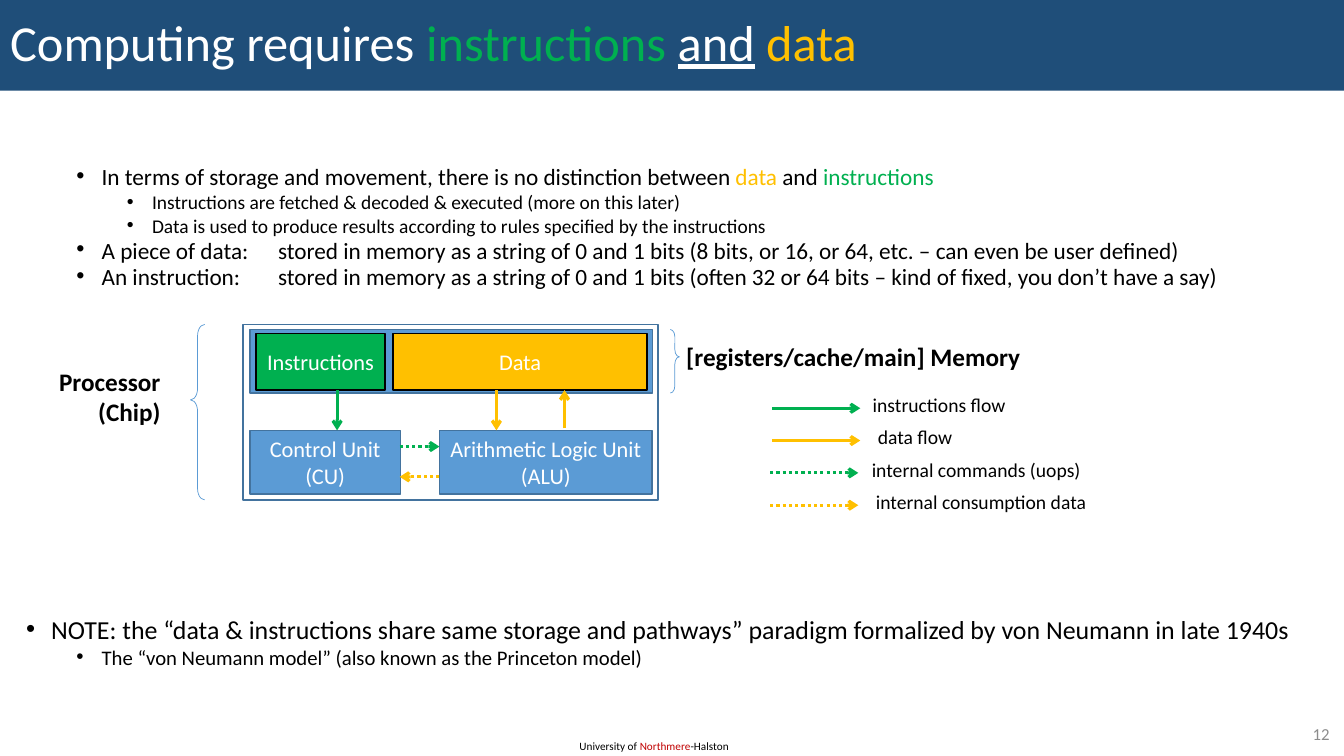
import pptx
import pptx.util
import pptx.dml.color
import pptx.enum.dml
import pptx.enum.shapes
import pptx.enum.text
import pptx.oxml.ns
from lxml import etree

Pt = pptx.util.Pt
SHAPE = pptx.enum.shapes.MSO_SHAPE
ALIGN = pptx.enum.text.PP_ALIGN
MIDDLE = pptx.enum.text.MSO_ANCHOR.MIDDLE

COLORS = {
    "navy": "1F4E79", "blue": "5B9BD5", "edge": "43739E", "green": "00B050",
    "gold": "FFC000", "red": "C00000", "gray": "8C8C8C", "white": "FFFFFF",
    "black": "000000",
}

# Rich text is a list of spans: (text, color, underlined)
TITLE = [("Computing requires", "white", False), (" instructions ", "green", False),
         ("and", "white", True), (" ", "white", False), ("data", "gold", False)]
FOOTER = [("University of ", "black", False), ("Northmere", "red", False),
          ("-Halston", "black", False)]

# Bullets: level, size, text
STORAGE_BULLETS = [
    (1, 16.6, [("In terms of storage and movement, there is no distinction between ", "black", False),
               ("data", "gold", False), (" and ", "black", False),
               ("instructions", "green", False)]),
    (2, 13.9, "Instructions are fetched & decoded & executed (more on this later)"),
    (2, 13.9, "Data is used to produce results according to rules specified by the instructions"),
    (1, 16.6, "A piece of data:\tstored in memory as a string of 0 and 1 bits "
              "(8 bits, or 16, or 64, etc. – can even be user defined)"),
    (1, 16.6, "An instruction:\tstored in memory as a string of 0 and 1 bits "
              "(often 32 or 64 bits – kind of fixed, you don’t have a say)"),
]
NOTE_BULLETS = [
    (0, 18.5, "NOTE: the “data & instructions share same storage and pathways” "
              "paradigm formalized by von Neumann in late 1940s"),
    (1, 14.8, "The “von Neumann model” (also known as the Princeton model)"),
]
# Left, top, width, height, fill, line, lines of text
BLOCKS = [
    (178.6, 235.4, 287.3, 45.4, "blue", "edge", []),
    (178.6, 307.4, 107.3, 45.4, "blue", "edge", ["Control Unit", "(CU)"]),
    (313.9, 307.4, 152, 45.4, "blue", "edge", ["Arithmetic Logic Unit", "(ALU)"]),
    (173.5, 231.8, 296.6, 125.3, None, "edge", []),
    (182.9, 238.3, 92.2, 40.3, "green", "black", ["Instructions"]),
    (280.8, 238.3, 181.4, 40.3, "gold", "black", ["Data"]),
]
# Start x, start y, end x, end y, color, dotted
FLOWS = [
    (240.8, 278.6, 240.8, 307.4, "green", False),
    (354.6, 278.6, 354.6, 307.4, "gold", False),
    (403.2, 306, 403.2, 278.6, "gold", False),
    (285.5, 319, 313.9, 319, "green", True),
    (313.9, 340.6, 285.5, 340.6, "gold", True),
]
# Label, label left, label width, color, dotted
LEGEND = [
    ("instructions flow", 616.3, 110.2, "green", False),
    ("data flow", 619.9, 68.4, "gold", False),
    ("internal commands (uops)", 615.6, 164.9, "green", True),
    ("internal consumption data", 618.5, 166.3, "gold", True),
]
LEGEND_TOP, LEGEND_STEP, ARROW_LENGTH = 291.6, 23.1, 63
# Preset, left, top, width, height
BRACES = [
    (SHAPE.RIGHT_BRACE, 478.8, 235.4, 6.5, 45.4),
    (SHAPE.LEFT_BRACE, 136.1, 231.8, 10.1, 125.3),
]


def rgb(name):
    return pptx.dml.color.RGBColor.from_string(COLORS[name])


def write(para, text, size, color="black", bold=False, align=ALIGN.LEFT):
    """Fill a paragraph with plain text or with a list of spans."""
    para.alignment = align
    spans = [(text, color, False)] if isinstance(text, str) else text
    for words, tint, underlined in spans:
        span = para.add_run()
        span.text = words
        span.font.name = "Calibri"
        span.font.size = Pt(size)
        span.font.bold = bold
        span.font.underline = underlined
        span.font.color.rgb = rgb(tint)


def paragraphs(frame, count):
    return [frame.paragraphs[0]] + [frame.add_paragraph() for _ in range(count - 1)]


def add_text(page, place, lines, wrap=False, **style):
    frame = page.shapes.add_textbox(*map(Pt, place)).text_frame
    frame.word_wrap = wrap
    for para, line in zip(paragraphs(frame, len(lines)), lines):
        write(para, line, **style)
    return frame


def add_bullets(page, place, bullets):
    frame = page.shapes.add_textbox(*map(Pt, place)).text_frame
    frame.word_wrap = True
    for para, (level, size, text) in zip(paragraphs(frame, len(bullets)), bullets):
        write(para, text, size)
        para.level = level
        para.line_spacing = 0.7
        para.space_before = Pt(5 if level else 10)
        properties = para._p.get_or_add_pPr()
        properties.set("marL", str(Pt(18 + 36 * level)))
        properties.set("indent", str(Pt(-18)))
        qn = pptx.oxml.ns.qn
        etree.SubElement(properties, qn("a:buFont")).set("typeface", "Arial")
        etree.SubElement(properties, qn("a:buChar")).set("char", "•")
        if "\t" in text:
            stops = etree.SubElement(properties, qn("a:tabLst"))
            stop = etree.SubElement(stops, qn("a:tab"))
            stop.set("pos", str(Pt(180)))
            stop.set("algn", "l")


def add_shape(page, preset, place, fill, line, width):
    box = page.shapes.add_shape(preset, *map(Pt, place))
    box.shadow.inherit = False
    if fill:
        box.fill.solid()
        box.fill.fore_color.rgb = rgb(fill)
    else:
        box.fill.background()
    box.line.color.rgb = rgb(line)
    box.line.width = Pt(width)
    return box


def add_arrow(page, place, color, dotted):
    arrow = page.shapes.add_connector(pptx.enum.shapes.MSO_CONNECTOR.STRAIGHT, *map(Pt, place))
    arrow.line.color.rgb = rgb(color)
    arrow.line.width = Pt(2.25)
    if dotted:
        arrow.line.dash_style = pptx.enum.dml.MSO_LINE.ROUND_DOT
    qn = pptx.oxml.ns.qn
    etree.SubElement(arrow.line._get_or_add_ln(), qn("a:tailEnd")).set("type", "arrow")
    etree.SubElement(arrow._element.spPr, qn("a:effectLst"))


def add_title(page):
    title = page.shapes.title
    title.left, title.top, title.width, title.height = map(Pt, (0, 0, 960, 64.8))
    title.fill.solid()
    title.fill.fore_color.rgb = rgb("navy")
    title.text_frame.vertical_anchor = MIDDLE
    title.text_frame.auto_size = pptx.enum.text.MSO_AUTO_SIZE.NONE
    para = title.text_frame.paragraphs[0]
    para.line_spacing = 0.9
    write(para, TITLE, 36)


def add_diagram(page):
    for *place, fill, line, lines in BLOCKS:
        box = add_shape(page, SHAPE.RECTANGLE, place, fill, line, 1)
        box.text_frame.vertical_anchor = MIDDLE
        if lines:
            for para, text in zip(paragraphs(box.text_frame, len(lines)), lines):
                write(para, text, 16, color="white", align=ALIGN.CENTER)
    for *place, color, dotted in FLOWS:
        add_arrow(page, place, color, dotted)
    for preset, *place in BRACES:
        brace = add_shape(page, preset, place, None, "blue", 0.5)
        brace.adjustments[0], brace.adjustments[1] = 0.8, 0.43
    add_text(page, (483.1, 240.5, 254.9, 28.8), ["[registers/cache/main] Memory"],
             size=18, bold=True)
    add_text(page, (34.6, 257.8, 87.1, 51.1), ["Processor", "(Chip)"],
             size=18, bold=True, align=ALIGN.RIGHT)


def add_legend(page):
    for row, (label, left, width, color, dotted) in enumerate(LEGEND):
        y = LEGEND_TOP + row * LEGEND_STEP
        x = 550.1 if dotted else 551.5
        add_arrow(page, (x, y, x + ARROW_LENGTH, y), color, dotted)
        add_text(page, (left, y - 14.4, width, 24.5), [label], size=14)


def main():
    deck = pptx.Presentation()
    deck.slide_width, deck.slide_height = Pt(960), Pt(540)
    page = deck.slides.add_slide(deck.slide_layouts[5])
    add_title(page)
    add_bullets(page, (11.5, 118.1, 941.8, 100), STORAGE_BULLETS)
    add_diagram(page)
    add_legend(page)
    add_bullets(page, (11.5, 441, 941.8, 50), NOTE_BULLETS)
    add_text(page, (406.8, 524.2, 123.8, 17.3), [FOOTER], size=8)
    number = add_text(page, (902.2, 513.4, 54.7, 20.9), ["12"], wrap=True,
                      size=12, color="gray", align=ALIGN.RIGHT)
    number.vertical_anchor = MIDDLE
    deck.save("out.pptx")


if __name__ == "__main__":
    main()
